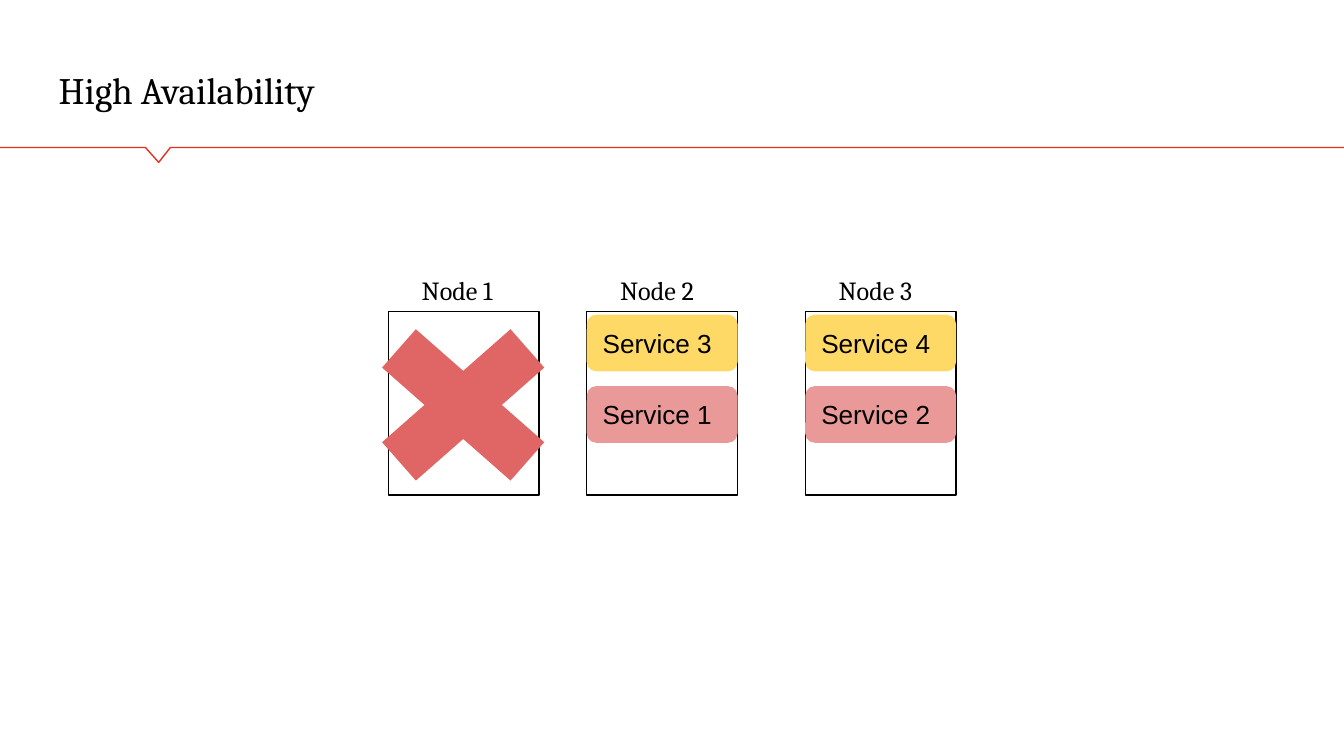
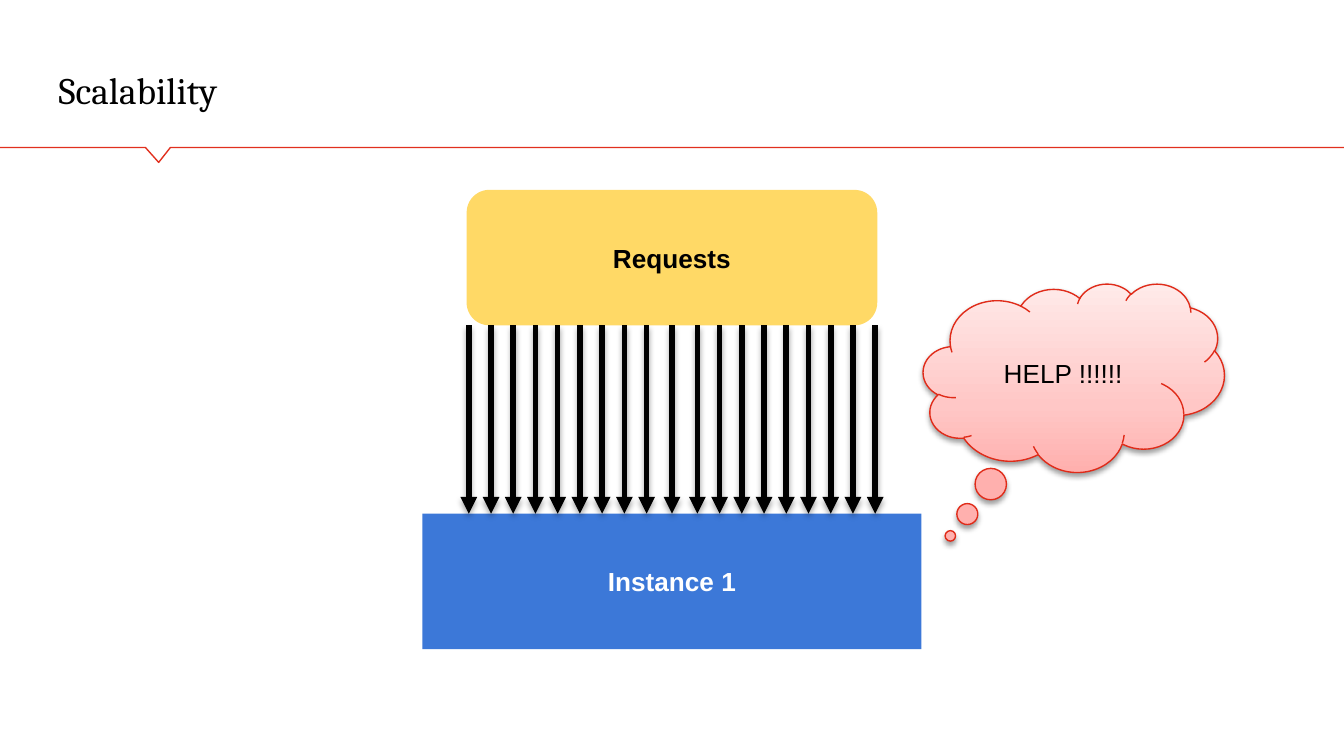
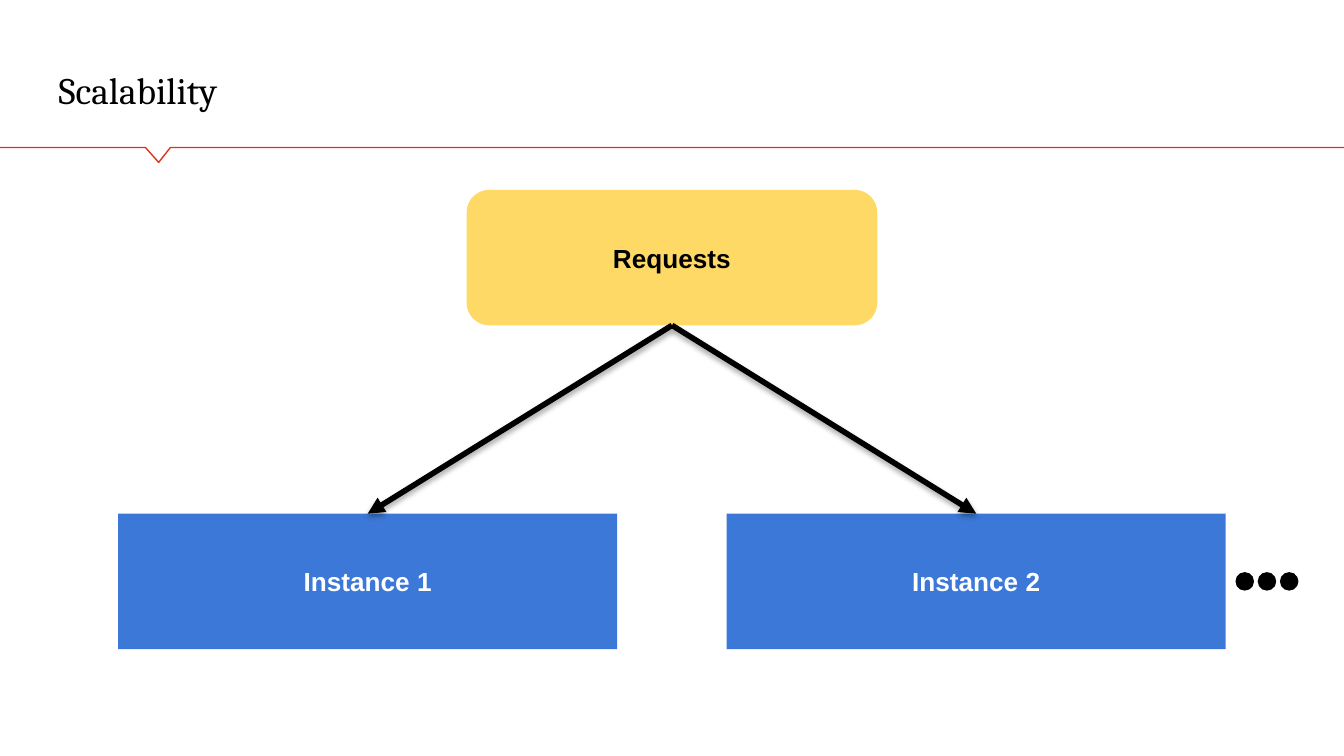
"""Build three slides on high availability and scalability."""
from dataclasses import dataclass
from typing import Optional

from lxml.etree import SubElement
from pptx import Presentation
from pptx.dml.color import RGBColor
from pptx.enum.shapes import MSO_CONNECTOR, MSO_SHAPE
from pptx.enum.text import MSO_ANCHOR, MSO_AUTO_SIZE, PP_ALIGN
from pptx.oxml.ns import qn
from pptx.presentation import Presentation as Deck
from pptx.shapes.autoshape import Shape
from pptx.shapes.connector import Connector
from pptx.slide import Slide
from pptx.text.text import TextFrame
from pptx.util import Cm, Pt


@dataclass(frozen=True)
class Theme:
    """Colours, fonts and sizes shared by the slides."""
    ink: str = "000000"
    paper: str = "FFFFFF"
    divider: str = "E1301E"
    amber: str = "FFD966"
    rose: str = "EA9999"
    failure: str = "E06666"
    instance: str = "3C78D8"
    callout_line: str = "E02B19"
    callout_stops: tuple = ((0, "FFB0AE"), (35, "FFC7C6"), (100, "FFEAE9"))
    heading_font: str = "Cambria"
    body_font: str = "Arial"
    title_size: int = 20
    body_size: int = 14
    thin: float = 0.75
    thick: float = 3
    inset: float = 0.25


@dataclass(frozen=True)
class Box:
    """A rectangle measured in centimetres."""
    left: float
    top: float
    width: float
    height: float

    def lengths(self) -> tuple:
        """Return the four measures as lengths."""
        return Cm(self.left), Cm(self.top), Cm(self.width), Cm(self.height)


@dataclass(frozen=True)
class Label:
    """Words together with their typography."""
    words: str
    size: int
    font: str
    color: str
    bold: bool = False
    align: PP_ALIGN = PP_ALIGN.LEFT


@dataclass(frozen=True)
class Block:
    """A preset shape with its box, colours and label."""
    kind: MSO_SHAPE
    box: Box
    fill: Optional[str] = None
    line: Optional[str] = None
    label: Optional[Label] = None
    adjust: tuple = ()


@dataclass(frozen=True)
class Node:
    """A cluster node and the services it runs, from the top down."""
    name: str
    left: float
    services: tuple = ()


THEME = Theme()
SLIDE_WIDTH, SLIDE_HEIGHT = 25.4, 14.29
CENTER = SLIDE_WIDTH / 2
TITLE_BOX = Box(0.86, 0.61, 23.67, 1.75)
DIVIDER_POINTS = ((25.4, 2.79), (3.22, 2.79), (3.0, 3.07), (2.75, 2.79), (0, 2.79))
CORNER = 0.167

NODES = (
    Node("Node 1", 7.34),
    Node("Node 2", 11.09, ("Service 3", "Service 1")),
    Node("Node 3", 15.22, ("Service 4", "Service 2")),
)
NODE_TOP, NODE_WIDTH, NODE_HEIGHT = 5.89, 2.85, 3.47
SERVICE_TOP, SERVICE_HEIGHT, SERVICE_PITCH = 5.95, 1.07, 1.35
SERVICE_FILLS = (THEME.amber, THEME.rose)

REQUESTS_BOX = Box(CENTER - 3.88, 3.59, 7.76, 2.56)
INSTANCE_TOP, INSTANCE_WIDTH, INSTANCE_HEIGHT = 9.71, 9.43, 2.56
INSTANCE_OFFSET = 5.75
ARROWS_PER_SIDE, FIRST_ARROW, ARROW_PITCH = 9, 0.48, 0.42
DOT_LEFT, DOT_SIZE, DOT_PITCH = 23.35, 0.35, 0.42


def rgb(color: str) -> RGBColor:
    """Turn a hex string into a colour."""
    return RGBColor.from_string(color)


def body_label(words: str, **changes) -> Label:
    """Return a label in the body style."""
    return Label(words, THEME.body_size, THEME.body_font,
                 **{"color": THEME.ink, **changes})


def write(frame: TextFrame, label: Label, anchor: MSO_ANCHOR) -> None:
    """Set a label in a text frame."""
    frame.word_wrap = True
    frame.auto_size = MSO_AUTO_SIZE.NONE
    frame.vertical_anchor = anchor
    frame.margin_left = frame.margin_right = Cm(THEME.inset)
    frame.margin_top = frame.margin_bottom = Cm(THEME.inset)
    paragraph = frame.paragraphs[0]
    paragraph.alignment = label.align
    run = paragraph.add_run()
    run.text = label.words
    run.font.size = Pt(label.size)
    run.font.name = label.font
    run.font.bold = label.bold
    run.font.color.rgb = rgb(label.color)


def draw_block(shapes, block: Block) -> Shape:
    """Draw a preset shape on a slide or in a group."""
    shape = shapes.add_shape(block.kind, *block.box.lengths())
    shape.shadow.inherit = False
    for index, value in enumerate(block.adjust):
        shape.adjustments[index] = value
    if block.fill:
        shape.fill.solid()
        shape.fill.fore_color.rgb = rgb(block.fill)
    else:
        shape.fill.background()
    if block.line:
        shape.line.color.rgb = rgb(block.line)
        shape.line.width = Pt(THEME.thin)
    else:
        shape.line.fill.background()
    if block.label:
        write(shape.text_frame, block.label, MSO_ANCHOR.MIDDLE)
    return shape


def cast_shadow(part, opacity: int, distance: float) -> None:
    """Give a shape or connector a soft shadow below it."""
    properties = part.element.spPr
    effects = properties.find(qn("a:effectLst"))
    if effects is None:
        effects = SubElement(properties, qn("a:effectLst"))
    shadow = SubElement(effects, qn("a:outerShdw"), blurRad=str(Pt(3.1)),
                        dist=str(Pt(distance)), dir="5400000", rotWithShape="0")
    color = SubElement(shadow, qn("a:srgbClr"), val=THEME.ink)
    SubElement(color, qn("a:alpha"), val=str(opacity * 1000))


def draw_arrow(slide: Slide, x: float = CENTER) -> Connector:
    """Draw a thick arrow from the requests down to the instances."""
    arrow = slide.shapes.add_connector(
        MSO_CONNECTOR.STRAIGHT, Cm(x), Cm(REQUESTS_BOX.top + REQUESTS_BOX.height),
        Cm(x), Cm(INSTANCE_TOP))
    arrow.line.color.rgb = rgb(THEME.ink)
    arrow.line.width = Pt(THEME.thick)
    SubElement(arrow.element.spPr.find(qn("a:ln")), qn("a:tailEnd"), type="triangle")
    cast_shadow(arrow, 35, 1.8)
    return arrow


def join(slide: Slide, requests: Shape, instance: Shape) -> None:
    """Link the requests to one instance."""
    arrow = draw_arrow(slide)
    arrow.begin_connect(requests, 2)
    arrow.end_connect(instance, 0)


def start_slide(deck: Deck, heading: str) -> Slide:
    """Add a slide with its title and notched divider."""
    slide = deck.slides.add_slide(deck.slide_layouts[5])
    start, *rest = [(Cm(x), Cm(y)) for x, y in DIVIDER_POINTS]
    builder = slide.shapes.build_freeform(*start)
    builder.add_line_segments(rest, close=False)
    divider = builder.convert_to_shape()
    divider.shadow.inherit = False
    divider.fill.background()
    divider.line.color.rgb = rgb(THEME.divider)
    divider.line.width = Pt(THEME.thin)
    title = slide.shapes.title
    title.left, title.top, title.width, title.height = TITLE_BOX.lengths()
    label = Label(heading, THEME.title_size, THEME.heading_font, THEME.ink)
    write(title.text_frame, label, MSO_ANCHOR.BOTTOM)
    return slide


def draw_node(slide: Slide, node: Node) -> None:
    """Draw a node with its name and services."""
    frame = Box(node.left, NODE_TOP, NODE_WIDTH, NODE_HEIGHT)
    draw_block(slide.shapes, Block(MSO_SHAPE.RECTANGLE, frame, line=THEME.ink))
    name_box = Box(node.left + 0.38, 4.93, 2.09, 0.91)
    name = slide.shapes.add_textbox(*name_box.lengths())
    label = Label(node.name, THEME.body_size, THEME.heading_font, THEME.ink)
    write(name.text_frame, label, MSO_ANCHOR.TOP)
    for row, (service, fill) in enumerate(zip(node.services, SERVICE_FILLS)):
        box = Box(node.left, SERVICE_TOP + row * SERVICE_PITCH, NODE_WIDTH, SERVICE_HEIGHT)
        draw_block(slide.shapes, Block(MSO_SHAPE.ROUNDED_RECTANGLE, box, fill,
                                       label=body_label(service), adjust=(CORNER,)))


def draw_requests(slide: Slide) -> Shape:
    """Draw the block of incoming requests."""
    label = body_label("Requests", bold=True, align=PP_ALIGN.CENTER)
    return draw_block(slide.shapes, Block(MSO_SHAPE.ROUNDED_RECTANGLE, REQUESTS_BOX,
                                          THEME.amber, label=label, adjust=(CORNER,)))


def draw_instance(slide: Slide, name: str, middle: float) -> Shape:
    """Draw an instance centred on the given position."""
    box = Box(middle - INSTANCE_WIDTH / 2, INSTANCE_TOP, INSTANCE_WIDTH, INSTANCE_HEIGHT)
    label = body_label(name, color=THEME.paper, bold=True, align=PP_ALIGN.CENTER)
    return draw_block(slide.shapes,
                      Block(MSO_SHAPE.RECTANGLE, box, THEME.instance, label=label))


def draw_cry_for_help(slide: Slide) -> None:
    """Draw the thought cloud of the overloaded instance."""
    cloud = draw_block(slide.shapes, Block(
        MSO_SHAPE.CLOUD_CALLOUT, Box(17.45, 5.36, 5.69, 3.56), line=THEME.callout_line,
        label=body_label("HELP !!!!!!", align=PP_ALIGN.CENTER), adjust=(-0.41, 0.84)))
    cloud.fill.gradient()
    cloud.fill.gradient_angle = 90
    stops = cloud.element.spPr.find(qn("a:gradFill")).find(qn("a:gsLst"))
    for stop in list(stops):
        stops.remove(stop)
    for position, color in THEME.callout_stops:
        stop = SubElement(stops, qn("a:gs"), pos=str(position * 1000))
        SubElement(stop, qn("a:srgbClr"), val=color)
    cast_shadow(cloud, 38, 1.6)


def build_availability(deck: Deck) -> None:
    """Show services moved away from a failed node."""
    slide = start_slide(deck, "High Availability")
    for node in NODES:
        draw_node(slide, node)
    draw_block(slide.shapes, Block(MSO_SHAPE.MATH_MULTIPLY, Box(6.42, 5.6, 4.67, 4.11),
                                   THEME.failure, adjust=(0.235,)))


def build_overload(deck: Deck) -> None:
    """Show one instance flooded by requests."""
    slide = start_slide(deck, "Scalability")
    requests = draw_requests(slide)
    join(slide, requests, draw_instance(slide, "Instance 1", CENTER))
    draw_cry_for_help(slide)
    for side in (1, -1):
        for index in range(ARROWS_PER_SIDE):
            draw_arrow(slide, CENTER + side * (FIRST_ARROW + index * ARROW_PITCH))


def build_scale_out(deck: Deck) -> None:
    """Show requests shared among several instances."""
    slide = start_slide(deck, "Scalability")
    requests = draw_requests(slide)
    for name, side in (("Instance 1", -1), ("Instance 2", 1)):
        join(slide, requests, draw_instance(slide, name, CENTER + side * INSTANCE_OFFSET))
    more = slide.shapes.add_group_shape()
    dot_top = INSTANCE_TOP + (INSTANCE_HEIGHT - DOT_SIZE) / 2
    for index in range(3):
        box = Box(DOT_LEFT + index * DOT_PITCH, dot_top, DOT_SIZE, DOT_SIZE)
        draw_block(more.shapes, Block(MSO_SHAPE.OVAL, box, THEME.ink))


def main() -> None:
    """Build and save the deck."""
    deck = Presentation()
    deck.slide_width, deck.slide_height = Cm(SLIDE_WIDTH), Cm(SLIDE_HEIGHT)
    build_availability(deck)
    build_overload(deck)
    build_scale_out(deck)
    deck.save("out.pptx")


if __name__ == "__main__":
    main()
